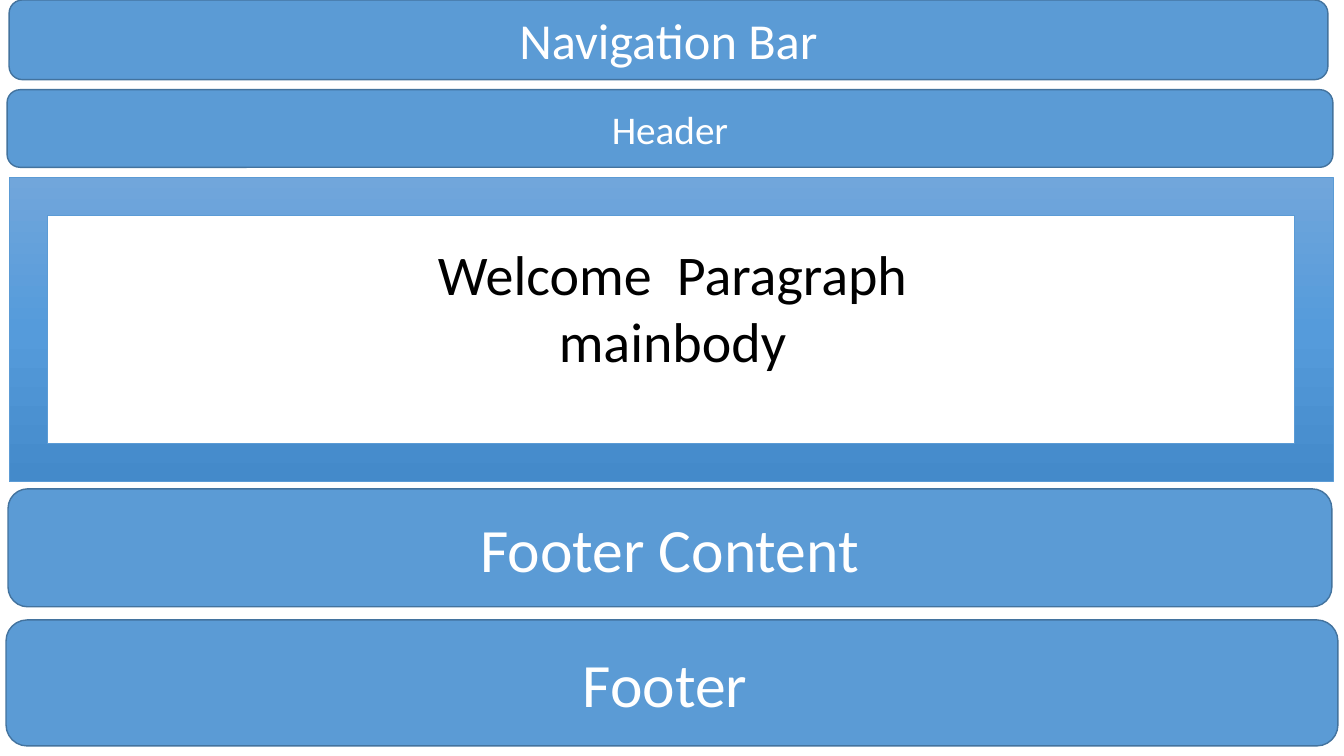
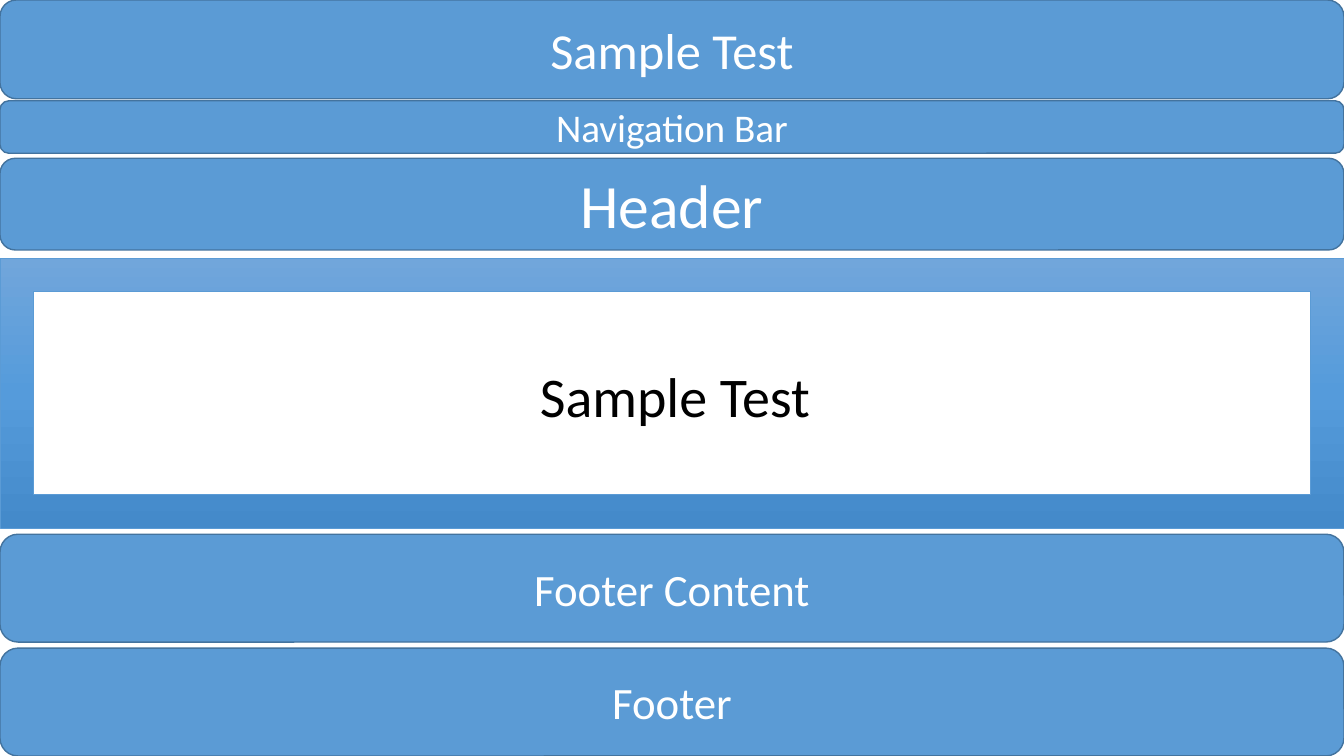
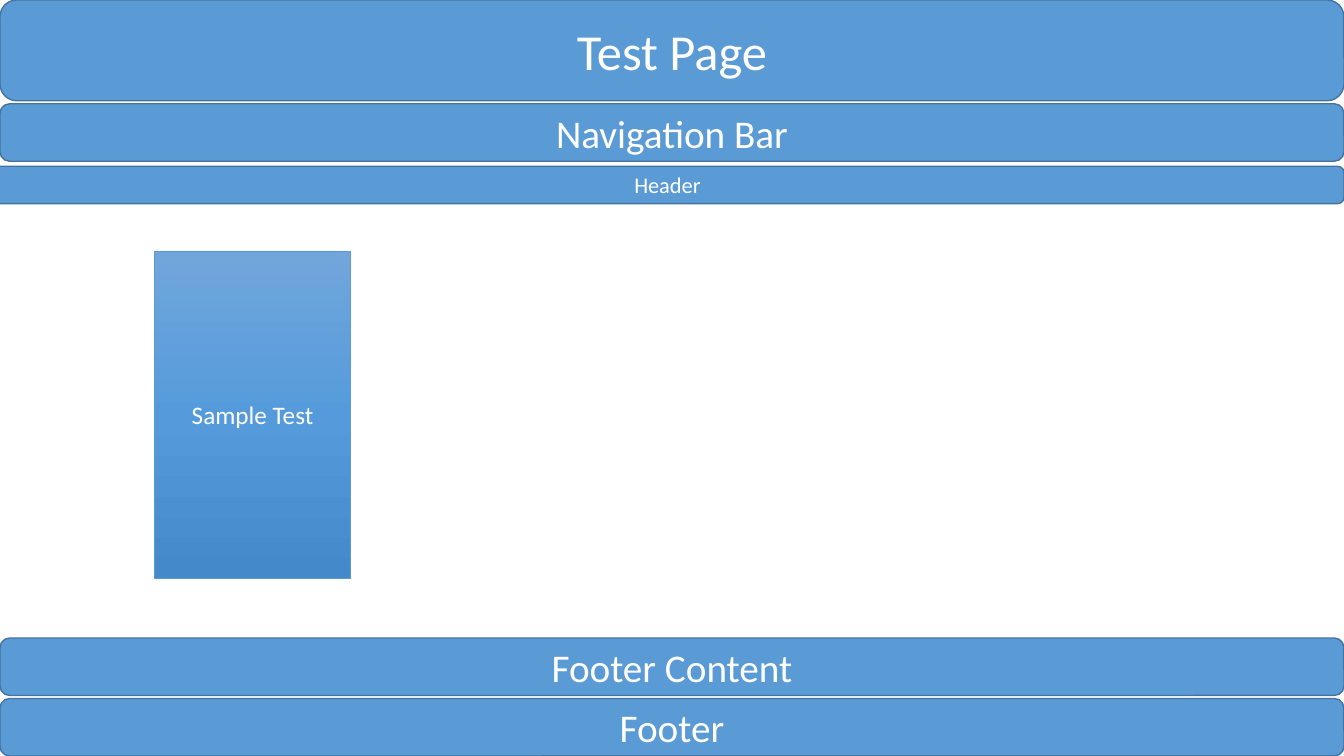
from copy import deepcopy

from pptx import Presentation
from pptx.dml.color import RGBColor
from pptx.enum.shapes import MSO_SHAPE as SHAPE
from pptx.enum.text import MSO_ANCHOR as ANCHOR, PP_ALIGN as ALIGN
from pptx.oxml.ns import qn
from pptx.util import Inches, Pt

FONT = "Calibri"
WIDTH, HEIGHT = 13.33, 7.5
COLORS = {
    "band": "5B9BD5",
    "band_line": "43739E",
    "top": "71A6DB",
    "middle": "559BDB",
    "bottom": "448ACA",
    "light": "FFFFFF",
    "dark": "000000",
}
GRADIENT = [(0, "top"), (0.5, "middle"), (1, "bottom")]


def rgb(name):
    """Return the named colour."""
    return RGBColor.from_string(COLORS[name])


def write(tf, lines, size, color):
    """Write centred lines, one paragraph each."""
    for i, line in enumerate(lines):
        p = tf.add_paragraph() if i else tf.paragraphs[0]
        p.alignment = ALIGN.CENTER
        r = p.add_run()
        r.text = line
        r.font.name = FONT
        r.font.size = Pt(size)
        r.font.color.rgb = rgb(color)


def add_shape(slide, kind, box, line, line_width):
    """Add an outlined shape without a shadow."""
    sp = slide.shapes.add_shape(kind, *map(Inches, box))
    sp.shadow.inherit = False
    sp.line.color.rgb = rgb(line)
    sp.line.width = Pt(line_width)
    sp.text_frame.vertical_anchor = ANCHOR.MIDDLE
    return sp


def add_band(slide, text, size, top, height, left=0, width=WIDTH):
    """Add a labelled rounded page band."""
    box = (left, top, width, height)
    sp = add_shape(slide, SHAPE.ROUNDED_RECTANGLE, box, "band_line", 1)
    sp.fill.solid()
    sp.fill.fore_color.rgb = rgb("band")
    write(sp.text_frame, [text], size, "light")


def add_panel(slide, kind, box):
    """Add a shape with the vertical blue gradient."""
    sp = add_shape(slide, kind, box, "band", 0.5)
    sp.fill.gradient()
    sp.fill.gradient_angle = 270
    stops = sp._element.spPr.find(".//" + qn("a:gsLst"))
    stops.append(deepcopy(stops[0]))
    for stop, (position, color) in zip(sp.fill.gradient_stops, GRADIENT):
        stop.position = position
        stop.color.rgb = rgb(color)
    return sp


def add_text(slide, lines, box):
    """Add large dark body text."""
    tf = slide.shapes.add_textbox(*map(Inches, box)).text_frame
    tf.word_wrap = False
    write(tf, lines, 40, "dark")


def add_slide(prs):
    """Add a blank slide."""
    return prs.slides.add_slide(prs.slide_layouts[6])


def welcome_slide(prs):
    """Build the welcome page layout."""
    slide = add_slide(prs)
    add_band(slide, "Navigation Bar", 36, 0, 0.79, 0.09, 13.08)
    add_band(slide, "Header", 28, 0.89, 0.77, 0.07, 13.15)
    add_band(slide, "Footer Content", 44, 4.85, 1.17, 0.08, 13.13)
    add_band(slide, "Footer ", 44, 6.15, 1.25, 0.06, 13.21)
    add_panel(slide, SHAPE.FRAME, (0.09, 1.76, 13.13, 3.02))
    add_text(slide, ["Welcome  Paragraph", "mainbody"], (4.19, 2.33, 4.96, 1.75))


def sample_slide(prs):
    """Build the sample test layout."""
    slide = add_slide(prs)
    add_band(slide, "Sample Test", 36, 0, 0.98)
    add_band(slide, "Navigation Bar", 28, 1, 0.52)
    add_band(slide, "Header", 44, 1.57, 0.91)
    add_band(slide, "Footer", 32, 6.43, 1.07)
    add_band(slide, "Footer Content", 32, 5.3, 1.07)
    add_panel(slide, SHAPE.FRAME, (0, 2.56, WIDTH, 2.68))
    add_text(slide, ["Sample Test"], (5.21, 3.54, 2.97, 0.77))


def test_page_slide(prs):
    """Build the test page layout."""
    slide = add_slide(prs)
    add_band(slide, "Test Page", 36, 0, 1)
    add_band(slide, "Navigation Bar", 28, 1.03, 0.57)
    add_band(slide, "Header", 16, 1.65, 0.37, -0.09, 13.42)
    card = add_panel(slide, SHAPE.RECTANGLE, (1.53, 2.49, 1.95, 3.25))
    write(card.text_frame, ["Sample Test"], 18, "light")
    add_band(slide, "Footer", 28, 6.93, 0.57)
    add_band(slide, "Footer Content", 28, 6.33, 0.57)


def main():
    """Build and save the presentation."""
    prs = Presentation()
    prs.slide_width, prs.slide_height = Inches(WIDTH), Inches(HEIGHT)
    welcome_slide(prs)
    sample_slide(prs)
    test_page_slide(prs)
    prs.save("out.pptx")


main()
